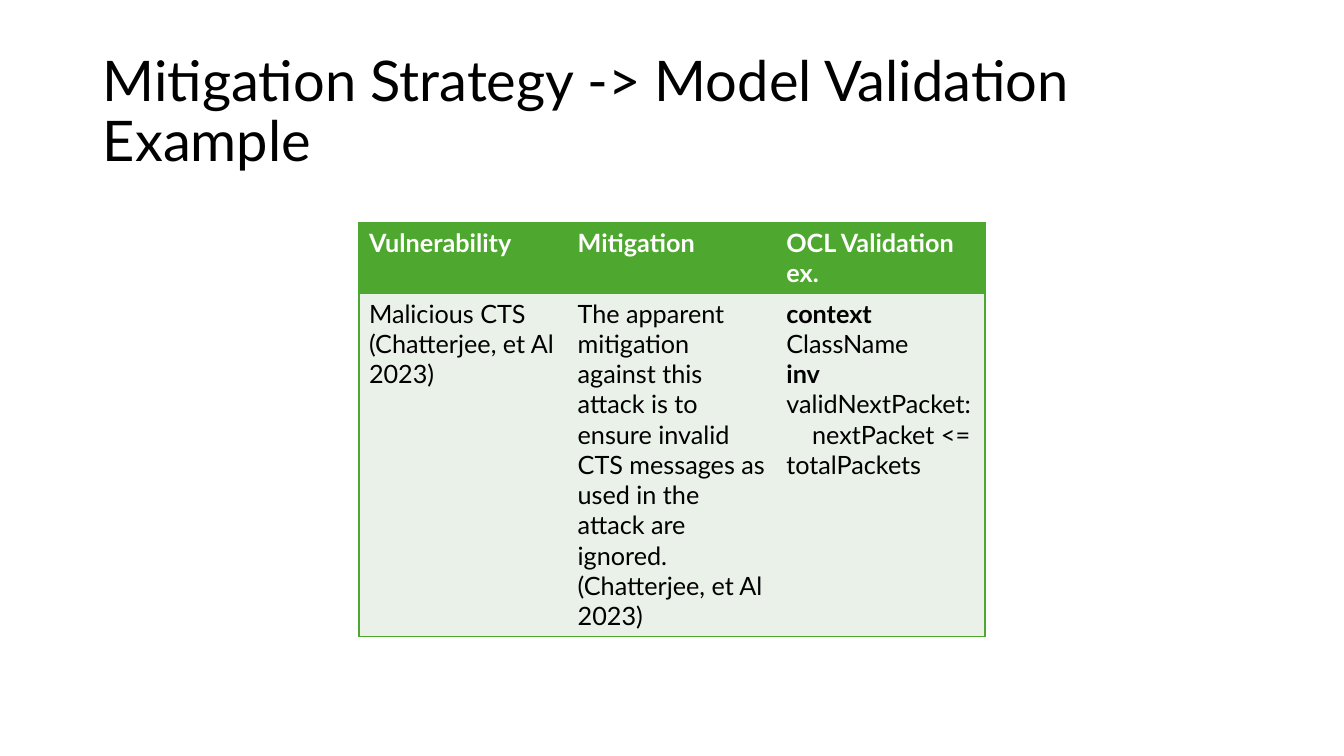
from dataclasses import dataclass

from lxml.etree import SubElement
from pptx import Presentation
from pptx.dml.color import RGBColor
from pptx.enum.text import MSO_ANCHOR, PP_ALIGN
from pptx.oxml.ns import qn
from pptx.table import _Cell
from pptx.util import Inches, Pt

FONT = "Lato"
COLORS = {"green": "4EA72E", "pale": "E9F1E8", "white": "FFFFFF", "black": "000000"}
COLUMN = 2.07
ROWS = (0.7, 3.4)


@dataclass
class Span:
    text: str
    bold: bool = False


@dataclass
class RowStyle:
    fill: str
    color: str


STYLES = (RowStyle("green", "white"), RowStyle("pale", "black"))

# Each cell is a list of paragraphs, each paragraph a list of spans.
CELLS = (
    (
        [[Span("Vulnerability", True)]],
        [[Span("Mitigation", True)]],
        [[Span("OCL Validation ex.", True)]],
    ),
    (
        [[Span("Malicious CTS (Chatterjee, et Al 2023)")]],
        [[Span("The apparent mitigation against this attack is to ensure invalid "
               "CTS messages as used in the attack are ignored. "
               "(Chatterjee, et Al 2023)")]],
        [
            [Span("context ", True), Span("ClassName")],
            [Span("inv ", True), Span("validNextPacket:")],
            [Span("    nextPacket <= totalPackets")],
        ],
    ),
)


def rgb(name: str) -> RGBColor:
    return RGBColor.from_string(COLORS[name])


def set_borders(cell: _Cell, sides: str) -> None:
    """Draw green lines on the given sides, named by the letters L, R, T and B."""
    tc_pr = cell._tc.get_or_add_tcPr()
    for i, side in enumerate("LRTB"):
        ln = SubElement(tc_pr, qn(f"a:ln{side}"), w=str(Pt(1)))
        if side in sides:
            fill = SubElement(ln, qn("a:solidFill"))
            SubElement(fill, qn("a:srgbClr"), val=COLORS["green"])
        else:
            SubElement(ln, qn("a:noFill"))
        tc_pr.insert(i, ln)


def fill_cell(cell: _Cell, paragraphs: list[list[Span]], style: RowStyle) -> None:
    cell.fill.solid()
    cell.fill.fore_color.rgb = rgb(style.fill)
    tf = cell.text_frame
    for i, spans in enumerate(paragraphs):
        p = tf.add_paragraph() if i else tf.paragraphs[0]
        p.font.name = FONT
        p.font.size = Pt(18)
        p.font.color.rgb = rgb(style.color)
        for span in spans:
            r = p.add_run()
            r.text = span.text
            r.font.bold = span.bold


def main() -> None:
    prs = Presentation()
    prs.slide_width, prs.slide_height = Inches(13.33), Inches(7.5)
    s = prs.slides.add_slide(prs.slide_layouts[5])

    title = s.shapes.title
    title.left, title.top = Inches(0.92), Inches(0.4)
    title.width, title.height = Inches(11.5), Inches(1.45)
    tf = title.text_frame
    tf.word_wrap = True
    tf.vertical_anchor = MSO_ANCHOR.MIDDLE
    p = tf.paragraphs[0]
    p.text = "Mitigation Strategy -> Model Validation Example"
    p.alignment = PP_ALIGN.LEFT
    p.line_spacing = 0.9
    p.font.name = FONT
    p.font.size = Pt(40)
    p.font.color.rgb = rgb("black")

    columns = len(CELLS[0])
    table = s.shapes.add_table(
        len(ROWS), columns, Inches(3.56), Inches(2.21),
        Inches(COLUMN * columns), Inches(sum(ROWS)),
    ).table
    for column in table.columns:
        column.width = Inches(COLUMN)
    for y, (height, style) in enumerate(zip(ROWS, STYLES)):
        table.rows[y].height = Inches(height)
        for x, paragraphs in enumerate(CELLS[y]):
            cell = table.cell(y, x)
            fill_cell(cell, paragraphs, style)
            outer = {0: "L", columns - 1: "R"}.get(x, "")
            set_borders(cell, "TB" + outer)

    prs.save("out.pptx")


if __name__ == "__main__":
    main()
